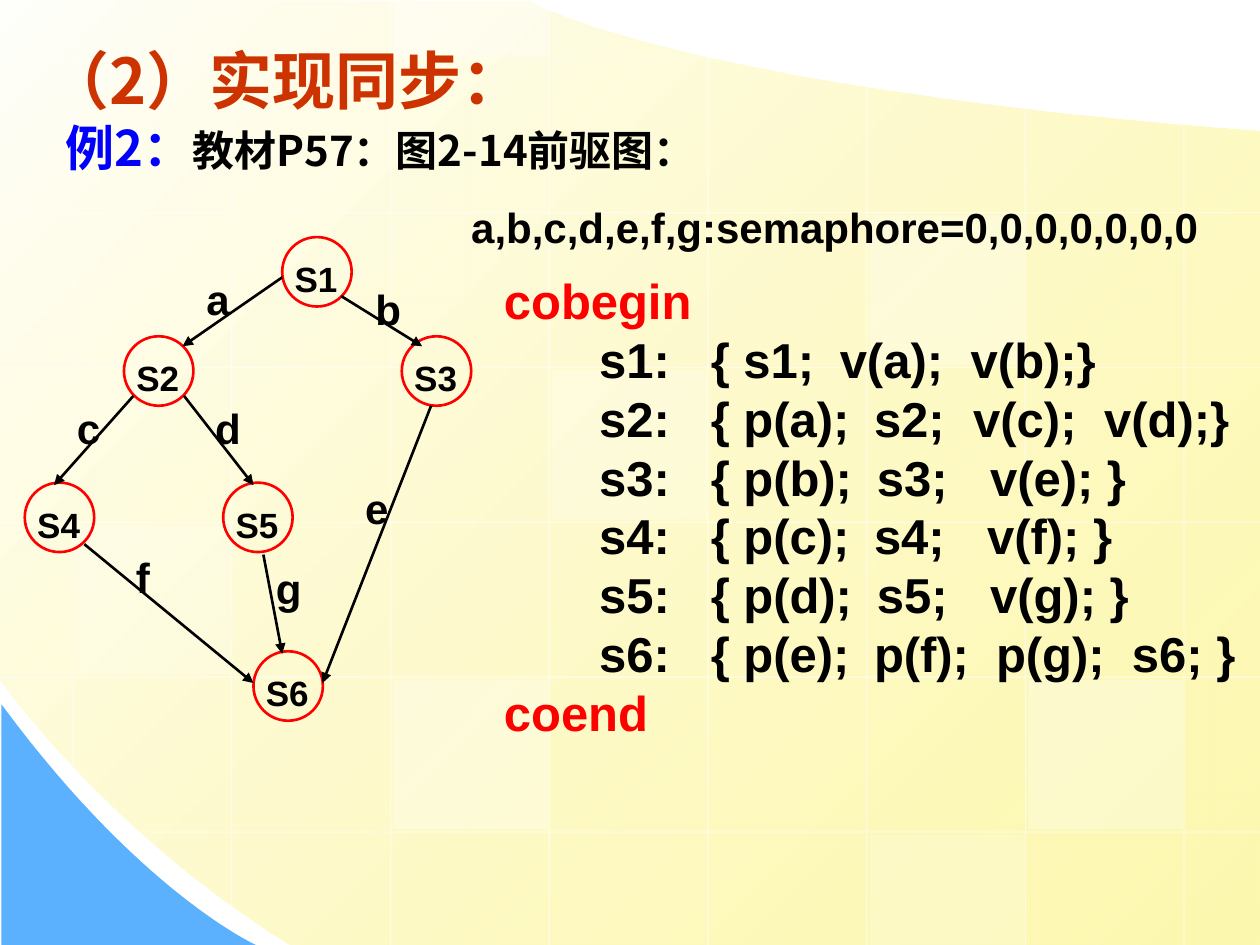
from collections import namedtuple

from lxml import etree
from pptx import Presentation
from pptx.dml.color import RGBColor
from pptx.enum import shapes, text
from pptx.oxml import ns
from pptx.util import Cm, Pt

Box = namedtuple("Box", "left top width height")

COLORS = {
    "black": "000000", "white": "FFFFFF", "red": "FF0000", "blue": "0000FF",
    "title": "CC3300", "cream": "FFFFFB", "yellow": "FDF58D", "sky": "5CB1FE",
}
CJK, LATIN = "Noto Sans CJK SC", "Arial"

# Offsets in cm from the top left corner of the graph
NODE_SIZE = 1.4
NODES = {"S1": (5.19, 0), "S2": (2, 2), "S3": (7.6, 2),
         "S4": (0, 4.95), "S5": (4, 4.95), "S6": (4.61, 8.35)}
# label: (start, end, label position)
EDGES = {
    "a": ((5.19, 0.81), (3.18, 2.2), (3.41, -0.41)),
    "b": ((6.38, 1.19), (8.01, 2.2), (6.82, -0.21)),
    "c": ((2.19, 3.2), (0.59, 5), (0.8, 2.2)),
    "d": ((3.21, 3.2), (4.61, 5), (3.59, 2.2)),
    "e": ((8.19, 3.4), (6, 8.99), (6.61, 3.81)),
    "f": ((1.2, 6.19), (4.61, 8.99), (1.99, 5.2)),
    "g": ((4.81, 6.4), (5.19, 8.4), (4.81, 5.41)),
}
# Statements of each process and the tab stops between them
PROCESSES = [
    (("{ s1;", "v(a);", "v(b);}"), (6.77, 9.41)),
    (("{ p(a);", "s2;", "v(c);", "v(d);}"), (7.46, 9.46, 12.1)),
    (("{ p(b);", "s3;", "v(e); }"), (7.52, 9.8)),
    (("{ p(c);", "s4;", "v(f); }"), (7.46, 9.74)),
    (("{ p(d);", "s5;", "v(g); }"), (7.52, 9.8)),
    (("{ p(e);", "p(f);", "p(g);", "s6; }"), (7.46, 9.92, 12.66)),
]


def rgb(name):
    return RGBColor.from_string(COLORS[name])


def add_child(parent, tag, **attrs):
    return etree.SubElement(parent, ns.qn(tag), attrs)


def set_alpha(fill_parent, percent):
    """Make every plain colour below an element partly transparent."""
    for color in fill_parent.iter(ns.qn("a:srgbClr")):
        add_child(color, "a:alpha", val=str(percent * 1000))


def apply(target, values):
    for name, value in values.items():
        setattr(target, name, value)


def add_span(para, words, size, color, font=LATIN):
    span = para.add_run()
    span.text = words
    apply(span.font, {"size": Pt(size), "bold": True, "name": font})
    span.font.color.rgb = rgb(color)
    add_child(span.font._element, "a:ea", typeface=font)


def add_tabs(para, stops):
    tabs = add_child(para._p.get_or_add_pPr(), "a:tabLst")
    for stop in stops:
        add_child(tabs, "a:tab", pos=str(Cm(stop)), algn="l")


def add_text_box(parent, box):
    frame = parent.add_textbox(*map(Cm, box)).text_frame
    apply(frame, {"word_wrap": True, "auto_size": text.MSO_AUTO_SIZE.SHAPE_TO_FIT_TEXT})
    return frame


def add_label(parent, box, words, size):
    para = add_text_box(parent, box).paragraphs[0]
    apply(para, {"line_spacing": 2.0, "space_before": Pt(size * 0.625)})
    add_span(para, words, size, "black")


def add_line(parent, start, end, color, width):
    line = parent.add_connector(shapes.MSO_CONNECTOR.STRAIGHT, *map(Cm, start + end))
    line.line.width = Pt(width)
    line.line.color.rgb = rgb(color)
    add_child(line._element.spPr, "a:effectLst")
    return line


def curve(start, first, second, end, steps=30):
    """Points of a cubic Bezier curve after its start."""
    for step in range(1, steps + 1):
        t = step / steps
        u = 1 - t
        yield tuple(u**3 * a + 3 * u * u * t * b + 3 * u * t * t * c + t**3 * d
                    for a, b, c, d in zip(start, first, second, end))


def add_outline(page, box, points):
    placed = [(Cm(box.left + x), Cm(box.top + y)) for x, y in points]
    builder = page.shapes.build_freeform(*placed[0])
    builder.add_line_segments(placed[1:])
    shape = builder.convert_to_shape()
    shape.shadow.inherit = False
    shape.line.fill.background()
    return shape


def add_backdrop(page, box):
    w, h = box.width, box.height
    paper = add_outline(page, box, [
        (w, 2.64), (w, h), (5.84, h),
        *curve((5.84, h), (2.18, 16.79), (-0.03, 13.69), (0, 13.69)),
        (-0.03, -0.03), (10.69, 0.03),
        *curve((10.69, 0.03), (10.69, 0.03), (13.64, 1.75), (w, 2.64))])
    paper.fill.gradient()
    paper.fill.gradient_angle = 315
    for stop, color in zip(paper.fill.gradient_stops, ("cream", "yellow")):
        stop.color.rgb = rgb(color)
    set_alpha(paper._element.spPr.findall(".//" + ns.qn("a:gs"))[1], 70)

    corner = add_outline(page, box, [
        (0.03, 14.2), (0.03, h), (5.16, h),
        *curve((5.16, h), (5.16, h), (2.84, 18.01), (0.03, 14.2))])
    corner.fill.solid()
    corner.fill.fore_color.rgb = rgb("sky")


def add_grid(page, box):
    """Pale grid lines clipped to the paper, with some cells lightened."""
    xs = [box.left + 1.47 + 3.2 * col for col in range(8)]
    ys = [box.top + 1.17 + 3.12 * row for row in range(-1, 6)]
    right, bottom = box.left + box.width, box.top + box.height
    tops = (0, 0, 0, 0, 1.09, 1.73, 2.16, 2.49)
    bottoms = (15.47, 18.26) + (bottom,) * 6
    lefts = (0, 0, 0, 0, 0, 2.82)
    rights = (14.43,) + (right,) * 5
    ends = [((x, top), (x, low)) for x, top, low in zip(xs, tops, bottoms)]
    ends += [((far, y), (near, y)) for y, near, far in zip(ys[1:], lefts, rights)]
    lines = page.shapes.add_group_shape().shapes
    for start, end in ends:
        set_alpha(add_line(lines, start, end, "white", 0.75)._element, 50)

    cells = ((3, 3, 25), (6, 5, 30), (0, 4, 20), (5, 6, 20), (2, 0, 40), (2, 5, 30), (5, 2, 30))
    for col, row, alpha in cells:
        top = max(box.top, ys[row] + 0.06)
        low = min(bottom, ys[row] + 3.06)
        tile = page.shapes.add_shape(shapes.MSO_SHAPE.RECTANGLE,
                                     *map(Cm, (xs[col] + 0.06, top, 3.12, low - top)))
        tile.shadow.inherit = False
        tile.line.fill.background()
        tile.fill.solid()
        tile.fill.fore_color.rgb = rgb("white")
        set_alpha(tile._element.spPr, alpha)


def add_title(page, box):
    title = page.shapes.title
    title._element.getparent().append(title._element)
    apply(title, dict(zip(box._fields, map(Cm, box))))
    frame = title.text_frame
    apply(frame, {"vertical_anchor": text.MSO_ANCHOR.MIDDLE, "word_wrap": True,
                  "auto_size": text.MSO_AUTO_SIZE.NONE})
    heading, example = frame.paragraphs[0], frame.add_paragraph()
    for para in (heading, example):
        para.alignment = text.PP_ALIGN.LEFT
    example._p.get_or_add_pPr().set("marL", str(Cm(0.38)))
    add_span(heading, "（2）实现同步：", 36, "title", CJK)
    add_span(example, "例2：", 28, "blue", CJK)
    add_span(example, "教材P57：图2-14前驱图：", 24, "black", CJK)


def add_graph(page, box):
    """Precedence graph: circles for statements, arrows for semaphores."""
    graph = page.shapes.add_group_shape().shapes

    def place(point):
        return box.left + point[0], box.top + point[1]

    for name, point in NODES.items():
        x, y = place(point)
        node = graph.add_shape(shapes.MSO_SHAPE.OVAL, *map(Cm, (x, y, NODE_SIZE, NODE_SIZE)))
        node.shadow.inherit = False
        node.fill.background()
        node.line.color.rgb = rgb("red")
        node.line.width = Pt(1.5)
        add_label(graph, Box(x, y - 0.56, 1.8, 1.96), name, 20)
    for name, (start, end, spot) in EDGES.items():
        arrow = add_line(graph, place(start), place(end), "black", 1.5)
        add_child(arrow.line._get_or_add_ln(), "a:tailEnd", type="triangle")
        add_label(graph, Box(*place(spot), 1.19, 2.29), name, 24)


def add_program(page, box):
    frame = add_text_box(page.shapes, box)
    add_span(frame.paragraphs[0], "cobegin", 28, "red")
    for number, (steps, stops) in enumerate(PROCESSES, 1):
        para = frame.add_paragraph()
        add_tabs(para, (1.92, 4.17) + stops)
        add_span(para, "\t" + "\t".join((f"s{number}:",) + steps), 28, "black")
    add_span(frame.add_paragraph(), "coend", 28, "red")


def main():
    deck = Presentation()
    apply(deck, {"slide_width": Cm(25.4), "slide_height": Cm(19.05)})
    page = deck.slides.add_slide(deck.slide_layouts.get_by_name("Title Only"))
    whole = Box(0, 0, 25.4, 19.05)
    add_backdrop(page, whole)
    add_grid(page, whole)
    add_title(page, Box(0.69, 0.91, 23.44, 2.57))
    add_graph(page, Box(0.5, 4.78, 9, 9.75))
    add_label(page.shapes, Box(9.25, 2.92, 15.6, 2.29),
              "a,b,c,d,e,f,g:semaphore=0,0,0,0,0,0,0", 24)
    add_program(page, Box(9.91, 5.33, 15.6, 10.95))
    deck.save("out.pptx")


if __name__ == "__main__":
    main()
